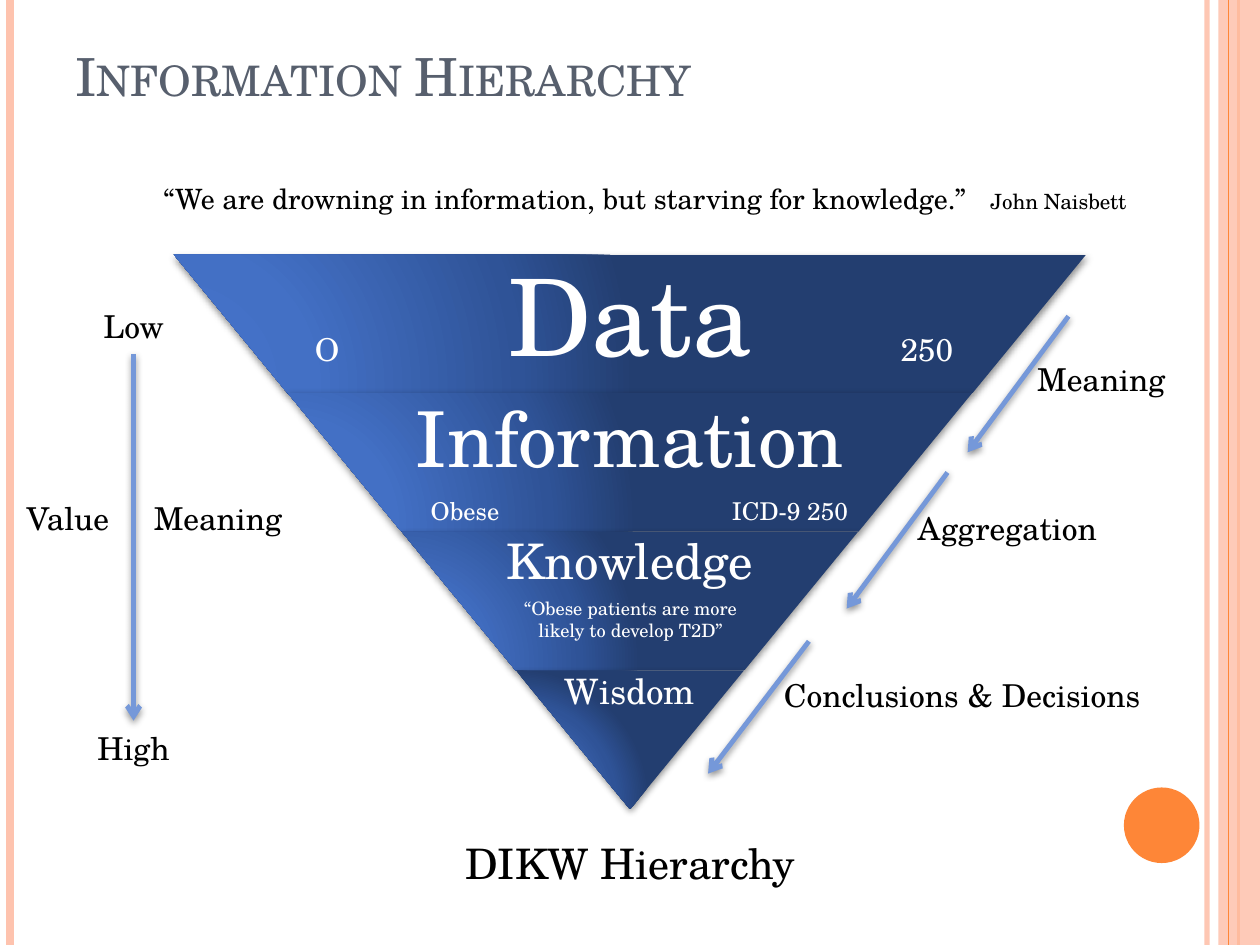
from dataclasses import dataclass

from lxml import etree
from pptx import Presentation
from pptx.dml.color import RGBColor
from pptx.enum.shapes import MSO_CONNECTOR, MSO_SHAPE
from pptx.enum.text import MSO_ANCHOR, MSO_AUTO_SIZE, PP_ALIGN
from pptx.oxml import parse_xml
from pptx.oxml.ns import nsdecls, qn
from pptx.util import Inches, Pt

LEFT, CENTER = PP_ALIGN.LEFT, PP_ALIGN.CENTER
TOP = MSO_ANCHOR.TOP
FIXED, GROW = MSO_AUTO_SIZE.NONE, MSO_AUTO_SIZE.SHAPE_TO_FIT_TEXT
RECT, OVAL, TRAPEZOID = MSO_SHAPE.RECTANGLE, MSO_SHAPE.OVAL, MSO_SHAPE.TRAPEZOID
STRAIGHT = MSO_CONNECTOR.STRAIGHT


@dataclass(frozen=True)
class Theme:
    font: str = "TeX Gyre Schola"
    title: str = "575F6D"
    ink: str = "000000"
    white: str = "FFFFFF"
    peach: str = "FEC3AE"
    orange: str = "FE8637"
    arrow: str = "7598D9"
    gradient: tuple = ((0, "4574CC"), (30, "4370C5"), (75, "2F5397"), (100, "233E70"))
    title_size: float = 30
    caption_size: float = 24
    label_size: float = 18
    quote_size: float = 16
    example_size: float = 14
    author_size: float = 12
    rule_size: float = 10.5


T = Theme()

# Inverted pyramid: name, type size, inset, text width as a share of the band
LEVELS = [
    ("Data", 61, 0.08, 0.65),
    ("Information", 44, 0.06, 0.65),
    ("Knowledge", 28, 0.04, 0.65),
    ("Wisdom", 20, 0.03, 1),
]
PYRAMID_TOP, PYRAMID_WIDTH, BAND_HEIGHT, MIDDLE = 2.02, 7.24, 1.1, 5

# Decorative vertical rules: x, colour, width, opacity
RULES = [
    (9.58, T.peach, 3, 93),
    (0.08, T.peach, 4.5, 100),
    (9.83, T.orange, 1.5, 100),
]

ARROWS = [
    (1.06, 2.81, 1.06, 5.72),
    (8.48, 2.51, 7.68, 3.59),
    (7.52, 3.75, 6.72, 4.83),
    (6.42, 5.09, 5.62, 6.14),
]

LABELS = [
    ("Meaning", 1.06, 3.91, 1.34),
    ("Low", 0.39, 2.39, 1.34),
    ("High", 0.39, 5.74, 1.34),
    ("Value", 0.01, 3.91, 1.06),
    ("Meaning", 8.07, 2.81, 1.34),
    ("Aggregation", 7.13, 3.99, 1.73),
    ("Conclusions & Decisions", 5.94, 5.32, 3.39),
]

# Examples inside the bands: text, x, y, width, size
EXAMPLES = [
    ("250", 7.05, 2.57, 0.62, T.label_size),
    ("O", 2.4, 2.57, 0.4, T.label_size),
    ("Obese", 3.32, 3.89, 0.75, T.example_size),
    ("ICD-9 250", 5.71, 3.89, 1.13, T.example_size),
]


def set_all(obj, values):
    for name, value in values.items():
        setattr(obj, name, value)


def set_opacity(sp, percent):
    color = next(sp._element.spPr.iter(qn("a:srgbClr")))
    etree.SubElement(color, qn("a:alpha"), val=str(percent * 1000))


def add_effects(sp, shadow=False):
    outer = (
        '<a:outerShdw blurRad="50800" dist="20000" dir="5400000" rotWithShape="0">'
        '<a:srgbClr val="000000"><a:alpha val="42000"/></a:srgbClr></a:outerShdw>'
    )
    xml = f'<a:effectLst {nsdecls("a")}>{outer if shadow else ""}</a:effectLst>'
    sp._element.spPr.append(parse_xml(xml))


def add_line(s, x1, y1, x2, y2, color, width, opacity=100, arrow=False):
    ends = [Inches(v) for v in (x1, y1, x2, y2)]
    line = s.shapes.add_connector(STRAIGHT, *ends)
    line.line.color.rgb = RGBColor.from_string(color)
    line.line.width = Pt(width)
    if opacity < 100:
        set_opacity(line, opacity)
    if arrow:
        etree.SubElement(line.line._get_or_add_ln(), qn("a:tailEnd"), type="arrow")
    add_effects(line, shadow=arrow)


def add_solid(s, kind, x, y, w, h, color, opacity=100):
    sp = s.shapes.add_shape(kind, *[Inches(v) for v in (x, y, w, h)])
    sp.shadow.inherit = False
    sp.fill.solid()
    sp.fill.fore_color.rgb = RGBColor.from_string(color)
    sp.line.fill.background()
    if opacity < 100:
        set_opacity(sp, opacity)


def add_text(shapes, runs, x, y, w, h, color=T.ink, align=CENTER, wrap=True,
             auto=GROW, inset=None, spacing=None):
    """Add one paragraph; runs is a list of (text, size)."""
    tb = shapes.add_textbox(*[Inches(v) for v in (x, y, w, h)])
    tf = tb.text_frame
    set_all(tf, {"word_wrap": wrap, "auto_size": auto, "vertical_anchor": TOP})
    if inset is not None:
        sides = ("left", "top", "right", "bottom")
        set_all(tf, {f"margin_{side}": Inches(inset) for side in sides})
    p = tf.paragraphs[0]
    set_all(p, {"alignment": align, "line_spacing": spacing})
    for text, size in runs:
        r = p.add_run()
        r.text = text
        set_all(r.font, {"name": T.font, "size": Pt(size)})
        r.font.color.rgb = RGBColor.from_string(color)
    return tb


def add_band(shapes, index, name, size, inset, share):
    w = PYRAMID_WIDTH * (len(LEVELS) - index) / len(LEVELS)
    y = PYRAMID_TOP + BAND_HEIGHT * index
    box = [Inches(v) for v in (MIDDLE - w / 2, y, w, BAND_HEIGHT)]
    sp = shapes.add_shape(TRAPEZOID, *box)
    sp.rotation = 180
    sp.adjustments[0] = 0.82
    sp.line.fill.background()
    stops = "".join(
        f'<a:gs pos="{pos * 1000}"><a:srgbClr val="{color}"/></a:gs>'
        for pos, color in T.gradient
    )
    sp._element.spPr.find(qn("a:prstGeom")).addnext(parse_xml(
        f'<a:gradFill {nsdecls("a")} rotWithShape="1"><a:gsLst>{stops}</a:gsLst>'
        '<a:path path="circle">'
        '<a:fillToRect l="5000" t="100000" r="120000" b="10000"/></a:path></a:gradFill>'
    ))
    add_effects(sp, shadow=True)
    text_w = w * share
    add_text(shapes, [(name, size)], MIDDLE - text_w / 2, y, text_w, BAND_HEIGHT,
             T.white, auto=FIXED, inset=inset, spacing=0.9)


def add_decoration(s):
    for x, color, width, opacity in RULES:
        add_line(s, x, 0, x, 7.5, color, width, opacity)
    add_solid(s, RECT, 9.67, 0, 0.33, 7.5, T.peach, 87)
    add_line(s, 9.75, 0, 9.75, 7.5, T.orange, 0.75)
    add_solid(s, OVAL, 8.92, 6.25, 0.6, 0.6, T.orange)


def main():
    prs = Presentation()
    set_all(prs, {"slide_width": Inches(10), "slide_height": Inches(7.5)})
    s = prs.slides.add_slide(prs.slide_layouts[6])
    add_decoration(s)

    # Title and caption
    title = add_text(s.shapes, [("Information Hierarchy", T.title_size)],
                     0.5, 0.3, 8.17, 1.25, T.title, LEFT, auto=FIXED)
    title.text_frame.paragraphs[0].runs[0].font._element.set("cap", "small")
    add_text(s.shapes, [("DIKW Hierarchy", T.caption_size)], 0.5, 6.6, 9, 0.5)

    # Pyramid
    pyramid = s.shapes.add_group_shape()
    for index, level in enumerate(LEVELS):
        add_band(pyramid.shapes, index, *level)

    # Arrows and their labels
    for ends in ARROWS:
        add_line(s, *ends, T.arrow, 2.75, arrow=True)
    for text, x, y, w in LABELS:
        add_text(s.shapes, [(text, T.label_size)], x, y, w, 0.4)

    # Quotation and examples
    quote = "“We are drowning in information, but starving for knowledge.”\t "
    add_text(s.shapes, [(quote, T.quote_size), ("John Naisbett", T.author_size)],
             0.67, 1.39, 8.9, 0.37)
    for text, x, y, w, size in EXAMPLES:
        add_text(s.shapes, [(text, size)], x, y, w, 0.4, T.white, LEFT, wrap=False)
    rule = "“Obese patients are more likely to develop T2D”"
    add_text(s.shapes, [(rule, T.rule_size)], 4.06, 4.69, 1.89, 0.63, T.white)

    prs.save("out.pptx")


if __name__ == "__main__":
    main()
